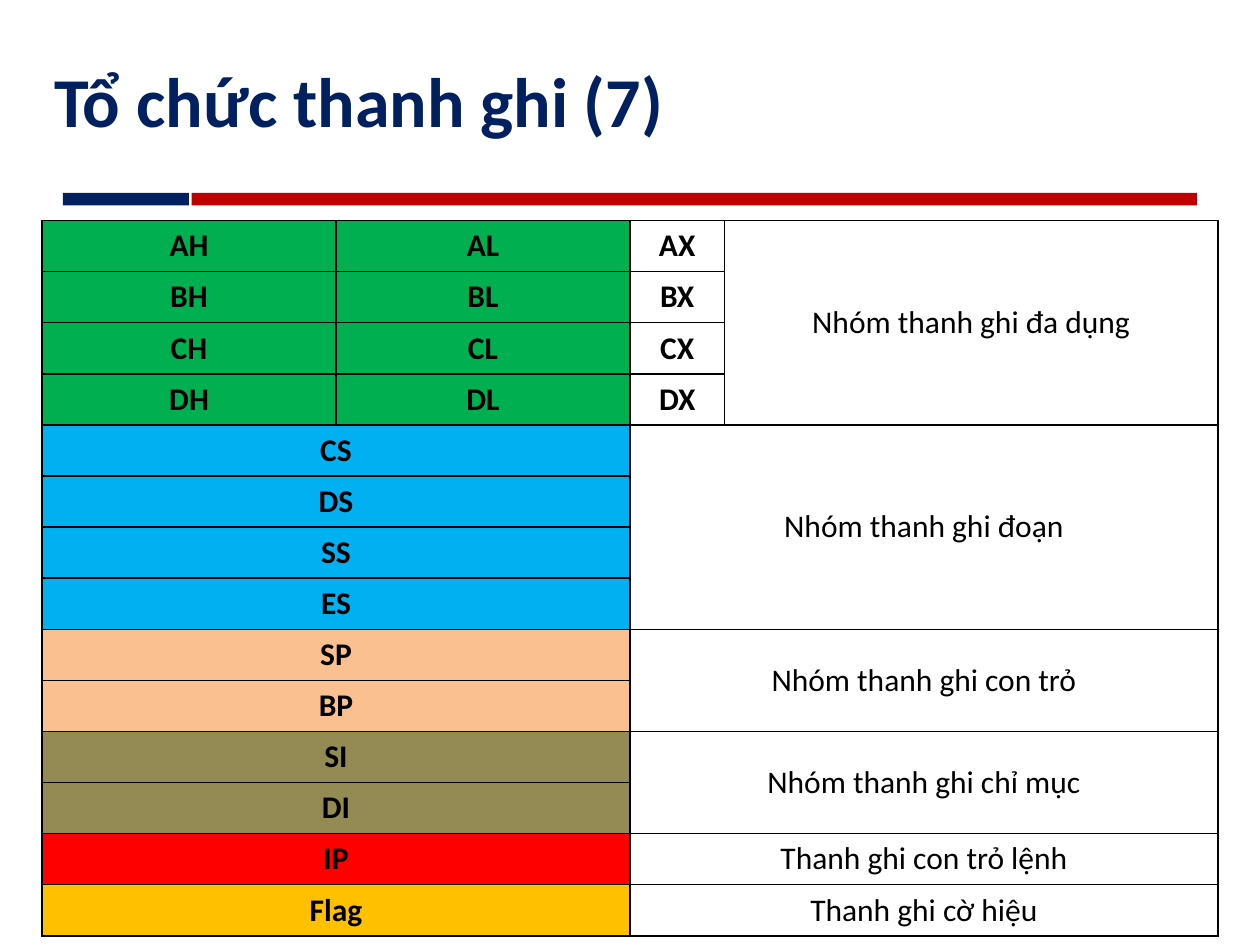
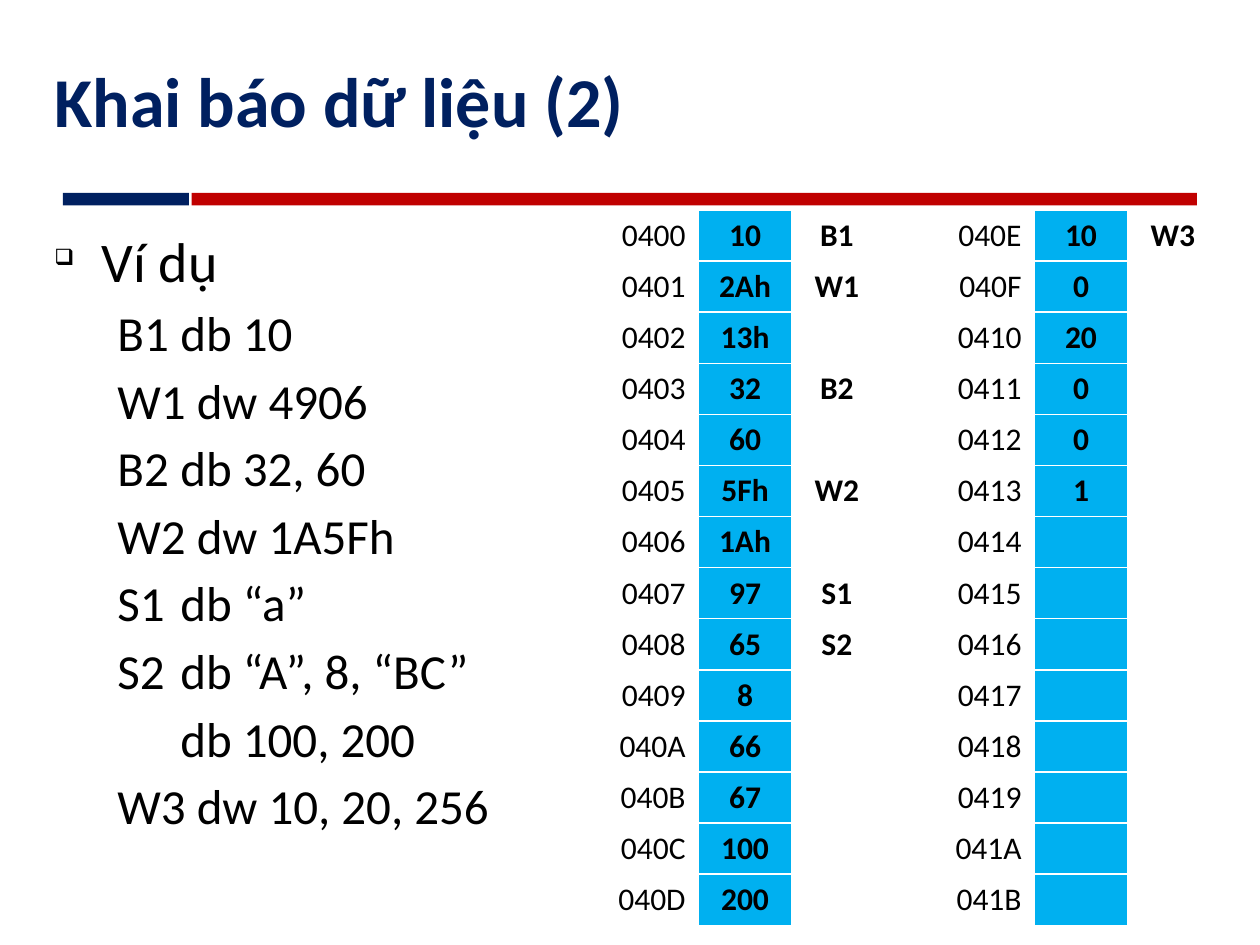
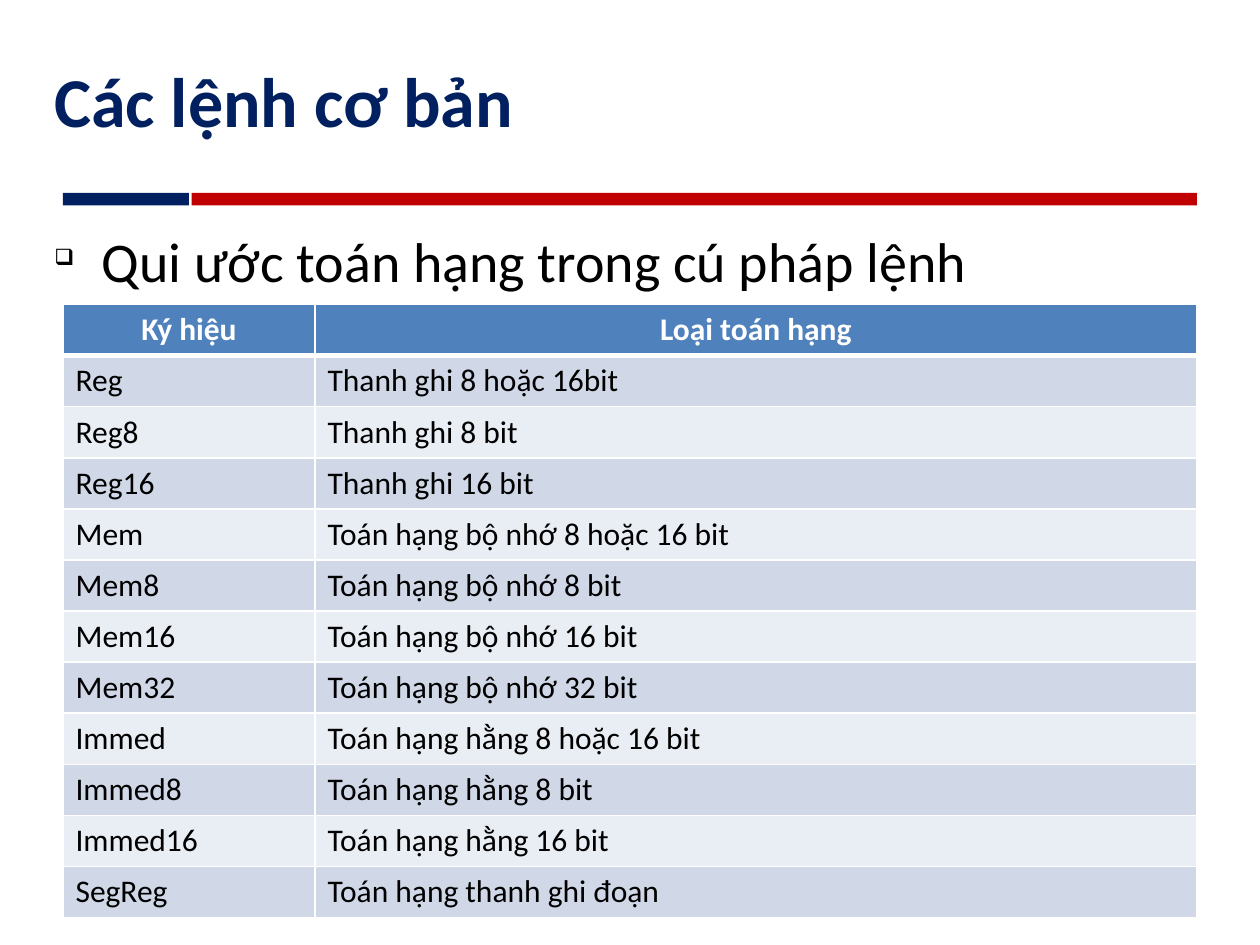
from typing import NamedTuple

from lxml import etree
from pptx import Presentation
from pptx.dml.color import RGBColor
from pptx.enum.shapes import MSO_SHAPE
from pptx.enum.text import MSO_ANCHOR, PP_ALIGN
from pptx.oxml.ns import qn
from pptx.util import Pt

RECTANGLE = MSO_SHAPE.RECTANGLE
TOP, MIDDLE = MSO_ANCHOR.TOP, MSO_ANCHOR.MIDDLE
LEFT, CENTER, RIGHT = PP_ALIGN.LEFT, PP_ALIGN.CENTER, PP_ALIGN.RIGHT

COLOURS = {
    "navy": "002060",
    "crimson": "C00000",
    "black": "000000",
    "white": "FFFFFF",
    "green": "00B050",
    "sky": "00B0F0",
    "peach": "FAC090",
    "olive": "948A54",
    "red": "FF0000",
    "amber": "FFC000",
    "header": "4F81BD",
    "band dark": "D0D8E8",
    "band light": "E9EDF4",
}
FONT = "Calibri"
ROW_HEIGHT = 29.2
BODY_SIZE, CODE_SIZE = 32, 28
BULLET_INDENT, CODE_INDENT, CODE_TAB = 27, 36, 72


class Box(NamedTuple):
    left: float
    top: float
    width: float
    height: float


class Band(NamedTuple):
    box: Box
    colour: str


class RegisterGroup(NamedTuple):
    names: list[str]
    colour: str
    caption: str


class MemoryColumn(NamedTuple):
    left: float
    start: int
    values: list[str]
    labels: dict[int, str]


TITLE_BOX = Box(24, 12, 672, 90)
BODY_BOX = Box(24, 126, 672, 403)
BANDS = [
    Band(Box(36, 110.25, 72, 7.2), "navy"),
    Band(Box(109.5, 110.25, 574.5, 7.2), "crimson"),
]

GENERAL_LETTERS = "ABCD"
REGISTER_GROUPS = [
    RegisterGroup(["CS", "DS", "SS", "ES"], "sky", "Nhóm thanh ghi đoạn"),
    RegisterGroup(["SP", "BP"], "peach", "Nhóm thanh ghi con trỏ"),
    RegisterGroup(["SI", "DI"], "olive", "Nhóm thanh ghi chỉ mục"),
    RegisterGroup(["IP"], "red", "Thanh ghi con trỏ lệnh"),
    RegisterGroup(["Flag"], "amber", "Thanh ghi cờ hiệu"),
]

DECLARATIONS = [
    "B1\tdb 10",
    "W1 dw 4906",
    "B2\tdb 32, 60",
    "W2 dw 1A5Fh",
    "S1\tdb “a”",
    "S2\tdb “A”, 8, “BC”",
    "\tdb 100, 200",
    "W3 dw 10, 20, 256",
]
MEMORY_ROWS = 14
MEMORY_COLUMNS = [
    MemoryColumn(
        342, 0x0400,
        ["10", "2Ah", "13h", "32", "60", "5Fh", "1Ah",
         "97", "65", "8", "66", "67", "100", "200"],
        {0: "B1", 1: "W1", 3: "B2", 5: "W2", 7: "S1", 8: "S2"},
    ),
    MemoryColumn(534, 0x040E, ["10", "0", "20", "0", "0", "1"], {0: "W3"}),
]

OPERANDS = [
    ("Reg", "Thanh ghi 8 hoặc 16bit"),
    ("Reg8", "Thanh ghi 8 bit"),
    ("Reg16", "Thanh ghi 16 bit"),
    ("Mem", "Toán hạng bộ nhớ 8 hoặc 16 bit"),
    ("Mem8", "Toán hạng bộ nhớ 8 bit"),
    ("Mem16", "Toán hạng bộ nhớ 16 bit"),
    ("Mem32", "Toán hạng bộ nhớ 32 bit"),
    ("Immed", "Toán hạng hằng 8 hoặc 16 bit"),
    ("Immed8", "Toán hạng hằng 8 bit"),
    ("Immed16", "Toán hạng hằng 16 bit"),
    ("SegReg", "Toán hạng thanh ghi đoạn"),
]


def rgb(colour: str) -> RGBColor:
    return RGBColor.from_string(COLOURS[colour])


def write_text(paragraph, text: str, *, size: float = 18, colour: str = "black",
               bold: bool = False, align: PP_ALIGN = LEFT, space_before: float = 0) -> None:
    paragraph.alignment = align
    paragraph.space_before = Pt(space_before)
    font = paragraph.font
    if text:
        run = paragraph.add_run()
        run.text = text
        font = run.font
    font.name = FONT
    font.size = Pt(size)
    font.bold = bold
    font.color.rgb = rgb(colour)


def add_text_frame(slide, box: Box, anchor: MSO_ANCHOR):
    text_box = slide.shapes.add_textbox(*map(Pt, box))
    text_frame = text_box.text_frame
    text_frame.word_wrap = True
    text_frame.vertical_anchor = anchor
    return text_frame


def add_titled_slide(presentation, title: str):
    slide = presentation.slides.add_slide(presentation.slide_layouts[6])
    for band in BANDS:
        shape = slide.shapes.add_shape(RECTANGLE, *map(Pt, band.box))
        shape.shadow.inherit = False
        shape.fill.solid()
        shape.fill.fore_color.rgb = rgb(band.colour)
        shape.line.fill.background()
    text_frame = add_text_frame(slide, TITLE_BOX, MIDDLE)
    write_text(text_frame.paragraphs[0], title, size=40, colour="navy", bold=True)
    return slide


def add_body(slide, heading: str, code_lines: list[str]) -> None:
    text_frame = add_text_frame(slide, BODY_BOX, TOP)
    paragraph = text_frame.paragraphs[0]
    properties = paragraph._p.get_or_add_pPr()
    properties.set("marL", str(Pt(BULLET_INDENT)))
    properties.set("indent", str(-Pt(BULLET_INDENT)))
    etree.SubElement(properties, qn("a:buSzPct"), val="40000")
    etree.SubElement(properties, qn("a:buChar"), char="❑")
    write_text(paragraph, heading, size=BODY_SIZE)
    for line in code_lines:
        paragraph = text_frame.add_paragraph()
        properties = paragraph._p.get_or_add_pPr()
        properties.set("marL", str(Pt(CODE_INDENT)))
        properties.set("indent", "0")
        tabs = etree.SubElement(properties, qn("a:tabLst"))
        etree.SubElement(tabs, qn("a:tab"), pos=str(Pt(CODE_TAB)), algn="l")
        write_text(paragraph, line, size=CODE_SIZE, space_before=5)


def add_grid(slide, left: float, top: float, widths: list[float], row_count: int,
             border: str):
    frame = slide.shapes.add_table(
        row_count, len(widths), Pt(left), Pt(top),
        Pt(sum(widths)), Pt(ROW_HEIGHT * row_count))
    table = frame.table
    table.first_row = False
    table.horz_banding = False
    for column, width in zip(table.columns, widths):
        column.width = Pt(width)
    for row in table.rows:
        row.height = Pt(ROW_HEIGHT)
    for cell in table.iter_cells():
        for side in ("lnL", "lnR", "lnT", "lnB"):
            set_border(cell, side, border, 1)
        cell.fill.background()
    return table


def set_border(cell, side: str, colour: str, width: float) -> None:
    properties = cell._tc.get_or_add_tcPr()
    line = properties.find(qn(f"a:{side}"))
    if line is None:
        line = etree.SubElement(properties, qn(f"a:{side}"))
        fill = etree.SubElement(line, qn("a:solidFill"))
        etree.SubElement(fill, qn("a:srgbClr"), val=COLOURS[colour])
    line.set("w", str(Pt(width)))


def fill_cell(cell, text: str, *, fill: str = "", align: PP_ALIGN = CENTER,
              bold: bool = False, colour: str = "black") -> None:
    cell.vertical_anchor = MIDDLE
    if fill:
        cell.fill.solid()
        cell.fill.fore_color.rgb = rgb(fill)
    write_text(cell.text_frame.paragraphs[0], text, align=align, bold=bold, colour=colour)


def build_registers(presentation) -> None:
    slide = add_titled_slide(presentation, "Tổ chức thanh ghi (7)")
    row_count = len(GENERAL_LETTERS) + sum(len(group.names) for group in REGISTER_GROUPS)
    table = add_grid(slide, 24, 126, [168, 168, 54, 282], row_count, "black")
    for row, letter in enumerate(GENERAL_LETTERS):
        for column, (suffix, fill) in enumerate([("H", "green"), ("L", "green"), ("X", "")]):
            fill_cell(table.cell(row, column), letter + suffix, fill=fill, bold=True)
    row = len(GENERAL_LETTERS)
    table.cell(0, 3).merge(table.cell(row - 1, 3))
    fill_cell(table.cell(0, 3), "Nhóm thanh ghi đa dụng")
    for group in REGISTER_GROUPS:
        table.cell(row, 2).merge(table.cell(row + len(group.names) - 1, 3))
        fill_cell(table.cell(row, 2), group.caption)
        for name in group.names:
            table.cell(row, 0).merge(table.cell(row, 1))
            fill_cell(table.cell(row, 0), name, fill=group.colour, bold=True)
            row += 1


def build_declarations(presentation) -> None:
    slide = add_titled_slide(presentation, "Khai báo dữ liệu (2)")
    add_body(slide, "Ví dụ", DECLARATIONS)
    for memory in MEMORY_COLUMNS:
        table = add_grid(slide, memory.left, 120, [57, 53.5, 51.5], MEMORY_ROWS, "white")
        for row in range(MEMORY_ROWS):
            value = memory.values[row] if row < len(memory.values) else ""
            fill_cell(table.cell(row, 0), f"{memory.start + row:04X}", align=RIGHT)
            fill_cell(table.cell(row, 1), value, fill="sky", bold=True)
            fill_cell(table.cell(row, 2), memory.labels.get(row, ""), bold=True)


def build_operands(presentation) -> None:
    slide = add_titled_slide(presentation, "Các lệnh cơ bản")
    add_body(slide, "Qui ước toán hạng trong cú pháp lệnh", [])
    table = add_grid(slide, 36, 174, [144, 504], len(OPERANDS) + 1, "white")
    for column, heading in enumerate(("Ký hiệu", "Loại toán hạng")):
        fill_cell(table.cell(0, column), heading, fill="header", bold=True, colour="white")
        set_border(table.cell(0, column), "lnB", "white", 3)
        set_border(table.cell(1, column), "lnT", "white", 3)
    for row, operand in enumerate(OPERANDS, start=1):
        fill = "band dark" if row % 2 else "band light"
        for column, text in enumerate(operand):
            fill_cell(table.cell(row, column), text, fill=fill, align=LEFT)


def main() -> None:
    presentation = Presentation()
    presentation.slide_width = Pt(720)
    presentation.slide_height = Pt(540)
    build_registers(presentation)
    build_declarations(presentation)
    build_operands(presentation)
    presentation.save("out.pptx")


if __name__ == "__main__":
    main()
